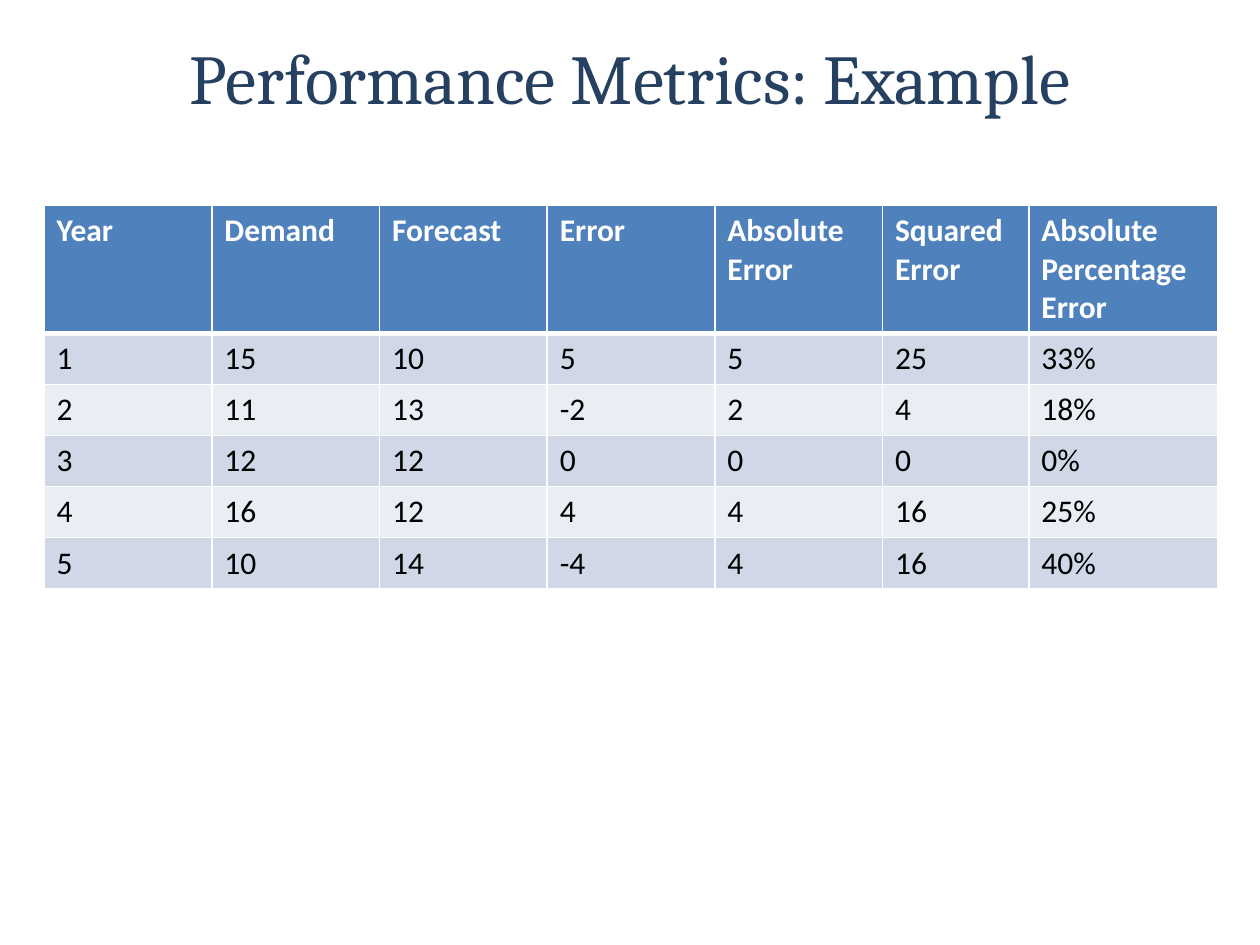
import lxml.etree
import pptx
import pptx.dml.color
import pptx.enum.text
import pptx.oxml.ns
import pptx.util

Cm = pptx.util.Cm
Pt = pptx.util.Pt
qn = pptx.oxml.ns.qn


def rgb(color):
    return pptx.dml.color.RGBColor.from_string(color)


def write(tf, text, color, fmt):
    p = tf.paragraphs[0]
    r = p.add_run()
    r.text = text
    r.font.color.rgb = rgb(color)
    for name, value in fmt.items():
        setattr(r.font, name, value)
    return p


title_fmt = {"name": "Cambria", "size": Pt(40)}
header_fmt = {"name": "Calibri", "size": Pt(18), "bold": True}
body_fmt = {"name": "Calibri", "size": Pt(18), "bold": False}
rows = [
    ["Year", "Demand", "Forecast", "Error", "Absolute Error", "Squared Error", "Absolute Percentage Error"],
    ["1", "15", "10", "5", "5", "25", "33%"],
    ["2", "11", "13", "-2", "2", "4", "18%"],
    ["3", "12", "12", "0", "0", "0", "0%"],
    ["4", "16", "12", "4", "4", "16", "25%"],
    ["5", "10", "14", "-4", "4", "16", "40%"],
]
widths = [3.38] * 5 + [2.95, 3.81]
heights = [2.58] + [1.03] * 5

prs = pptx.Presentation()
prs.slide_width = Cm(25.4)
prs.slide_height = Cm(19.05)
s = prs.slides.add_slide(prs.slide_layouts[6])

sp = s.shapes.add_textbox(Cm(1.27), Cm(0.76), Cm(22.86), Cm(1.55))
tf = sp.text_frame
tf.word_wrap = True
tf.vertical_anchor = pptx.enum.text.MSO_ANCHOR.MIDDLE
p = write(tf, "Performance Metrics: Example", "254061", title_fmt)
p.alignment = pptx.enum.text.PP_ALIGN.CENTER

sp = s.shapes.add_table(len(rows), len(widths), Cm(0.89), Cm(4.14), Cm(sum(widths)), Cm(sum(heights)))
tbl = sp.table
for col, width in zip(tbl.columns, widths):
    col.width = Cm(width)
for row, height in zip(tbl.rows, heights):
    row.height = Cm(height)

for i, values in enumerate(rows):
    if i == 0:
        fill, color, fmt = "4F81BD", "FFFFFF", header_fmt
    else:
        fill, color, fmt = ("D0D8E8" if i % 2 else "E9EDF4"), "000000", body_fmt
    borders = {"lnL": 1, "lnR": 1, "lnT": 3 if i == 1 else 1, "lnB": 3 if i == 0 else 1}
    for j, text in enumerate(values):
        cell = tbl.cell(i, j)
        tcPr = cell._tc.get_or_add_tcPr()
        for tag, width in borders.items():
            ln = lxml.etree.SubElement(tcPr, qn("a:" + tag), w=str(Pt(width)))
            solid = lxml.etree.SubElement(ln, qn("a:solidFill"))
            lxml.etree.SubElement(solid, qn("a:srgbClr"), val="FFFFFF")
        cell.fill.solid()
        cell.fill.fore_color.rgb = rgb(fill)
        write(cell.text_frame, text, color, fmt)

prs.save("out.pptx")
